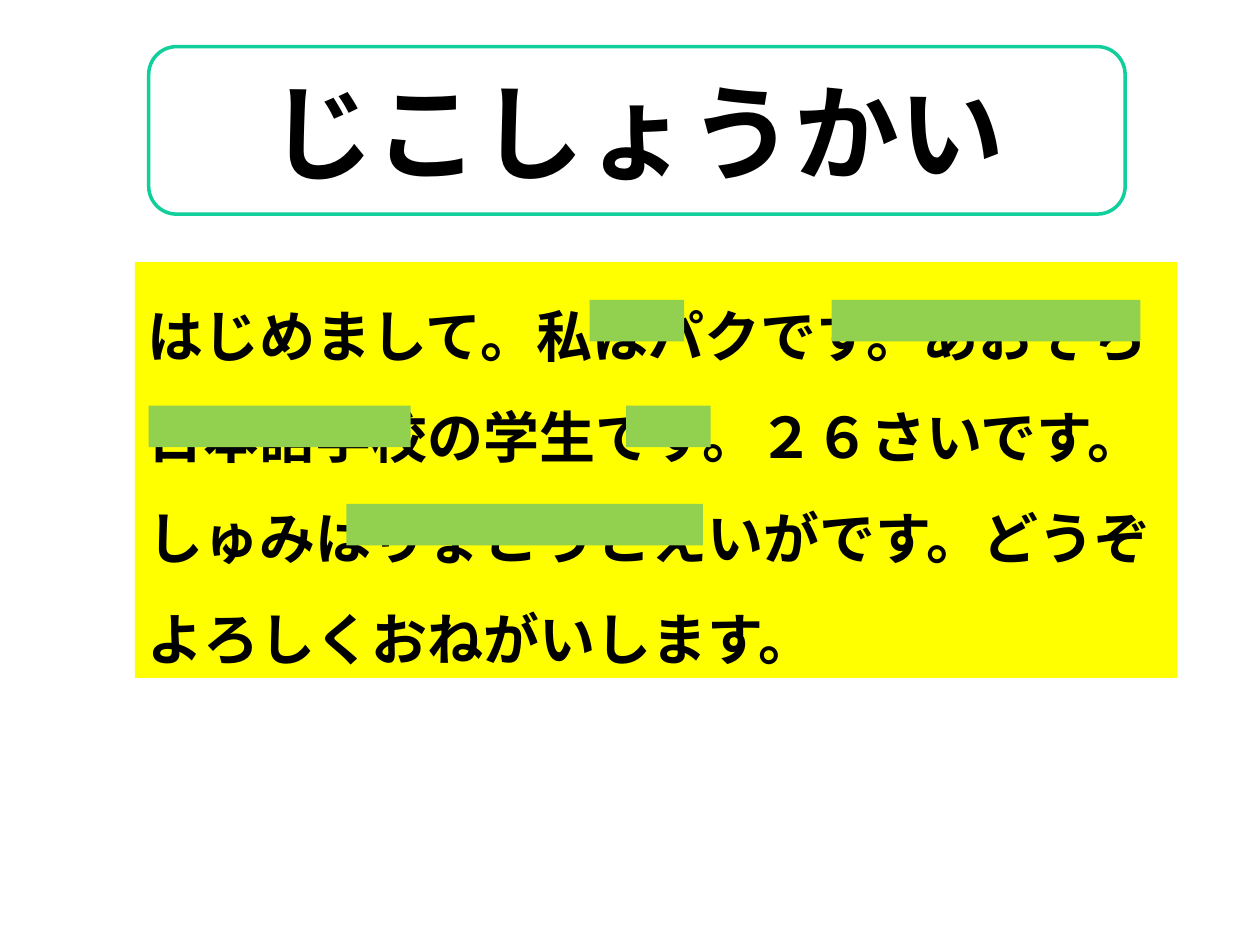
"""Build a Japanese self-introduction slide with green cover strips."""
import pptx
import pptx.util
import pptx.dml.color
import pptx.enum.shapes
import pptx.enum.text
import pptx.oxml.ns
from lxml import etree

Inches = pptx.util.Inches
Pt = pptx.util.Pt
RGBColor = pptx.dml.color.RGBColor
SHAPE = pptx.enum.shapes.MSO_SHAPE
ALIGN = pptx.enum.text.PP_ALIGN
ANCHOR = pptx.enum.text.MSO_ANCHOR
qn = pptx.oxml.ns.qn

TITLE = "じこしょうかい"
INTRODUCTION = [
    "はじめまして。私はパクです。あおぞら日本語学校の学生です。２６さいです。",
    "しゅみはりょこうとえいがです。どうぞよろしくおねがいします。",
]
TITLE_BOX = (1.18, 0.37, 7.75, 1.33)
BODY_BOX = (1.07, 2.08, 8.27, 3.3)
STRIP_ROWS = {
    2.38: [(4.68, 0.75), (6.6, 2.45)],
    3.22: [(1.18, 2.08), (4.97, 0.67)],
    4: [(2.75, 2.83)],
}
STRIP_HEIGHT = 0.33
FONT = "Noto Sans CJK JP"
BLACK = RGBColor(0x00, 0x00, 0x00)
YELLOW = RGBColor(0xFF, 0xFF, 0x00)
GREEN = RGBColor(0x92, 0xD0, 0x50)
TEAL = RGBColor(0x10, 0xCF, 0x9B)


def set_placeholder(sp, box, anchor):
    sp.left, sp.top, sp.width, sp.height = map(Inches, box)
    tf = sp.text_frame
    tf.word_wrap = True
    tf.auto_size = pptx.enum.text.MSO_AUTO_SIZE.NONE
    tf.vertical_anchor = anchor
    tf.margin_left = tf.margin_right = Inches(0.1)
    tf.margin_top = tf.margin_bottom = Inches(0.05)
    return tf


def add_box(s, kind, box):
    sp = s.shapes.add_shape(kind, *map(Inches, box))
    sp.shadow.inherit = False
    return sp


def write(p, text, size, align=ALIGN.LEFT, spacing=1.0):
    pPr = p._p.get_or_add_pPr()
    pPr.set("marL", "0")
    pPr.set("indent", "0")
    etree.SubElement(pPr, qn("a:buNone"))
    p.alignment = align
    p.line_spacing = spacing
    p.space_before = Pt(0)
    r = p.add_run()
    r.text = text
    r.font.size = Pt(size)
    r.font.bold = True
    r.font.name = FONT
    r.font.color.rgb = BLACK
    etree.SubElement(r._r.get_or_add_rPr(), qn("a:ea"), typeface=FONT)


prs = pptx.Presentation()
prs.slide_width, prs.slide_height = Inches(10), Inches(7.5)
s = prs.slides.add_slide(prs.slide_layouts[1])
title, body = s.placeholders

tf = set_placeholder(title, TITLE_BOX, ANCHOR.MIDDLE)
write(tf.paragraphs[0], TITLE, 60, align=ALIGN.CENTER)

frame = add_box(s, SHAPE.ROUNDED_RECTANGLE, TITLE_BOX)
frame.fill.background()
frame.line.color.rgb = TEAL
frame.line.width = Pt(2)

tf = set_placeholder(body, BODY_BOX, ANCHOR.TOP)
body.fill.solid()
body.fill.fore_color.rgb = YELLOW
for i, text in enumerate(INTRODUCTION):
    p = tf.add_paragraph() if i else tf.paragraphs[0]
    write(p, text, 32, spacing=1.5)

for top, strips in STRIP_ROWS.items():
    for left, width in strips:
        strip = add_box(s, SHAPE.RECTANGLE, (left, top, width, STRIP_HEIGHT))
        strip.fill.solid()
        strip.fill.fore_color.rgb = GREEN
        strip.line.fill.background()

prs.save("out.pptx")
